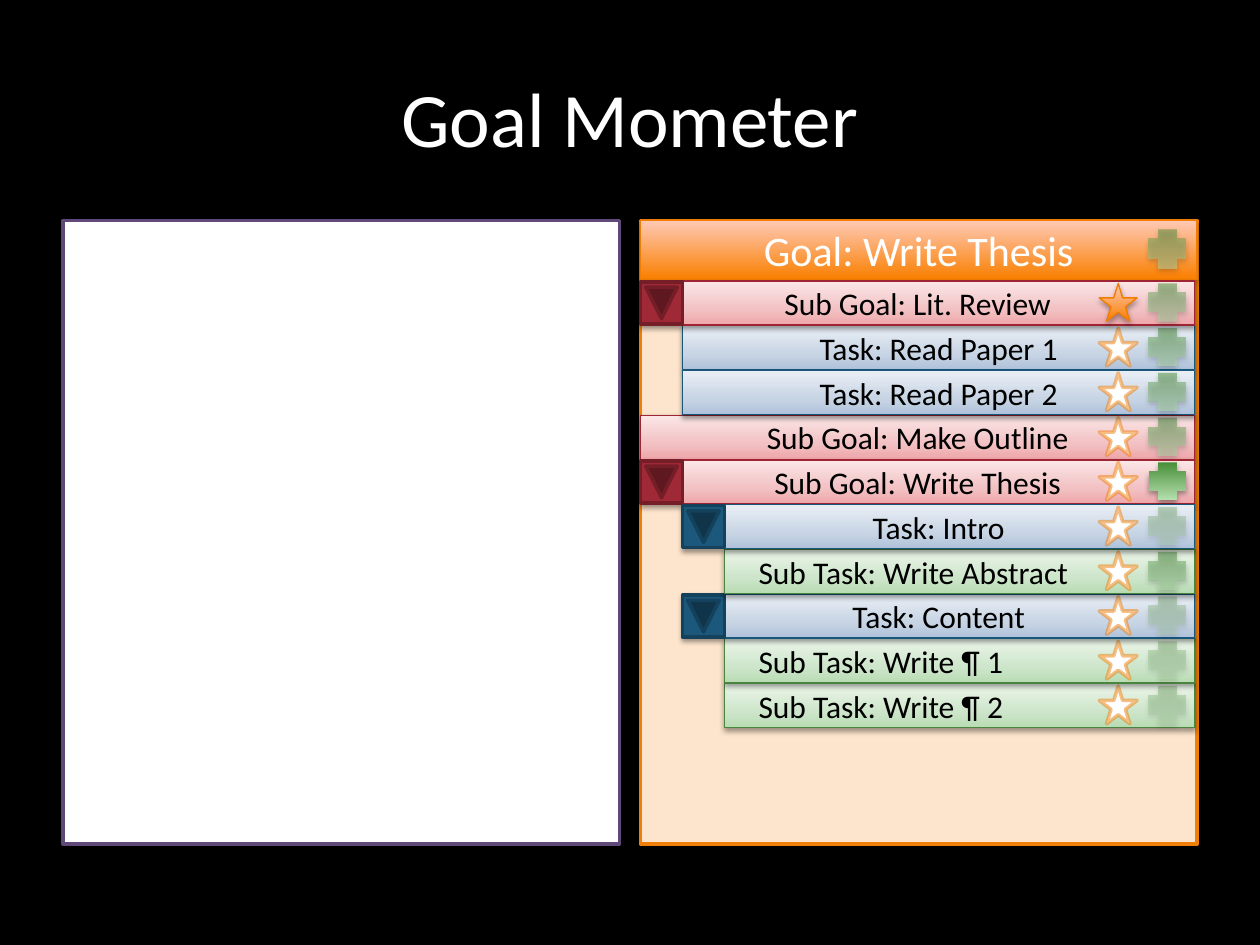
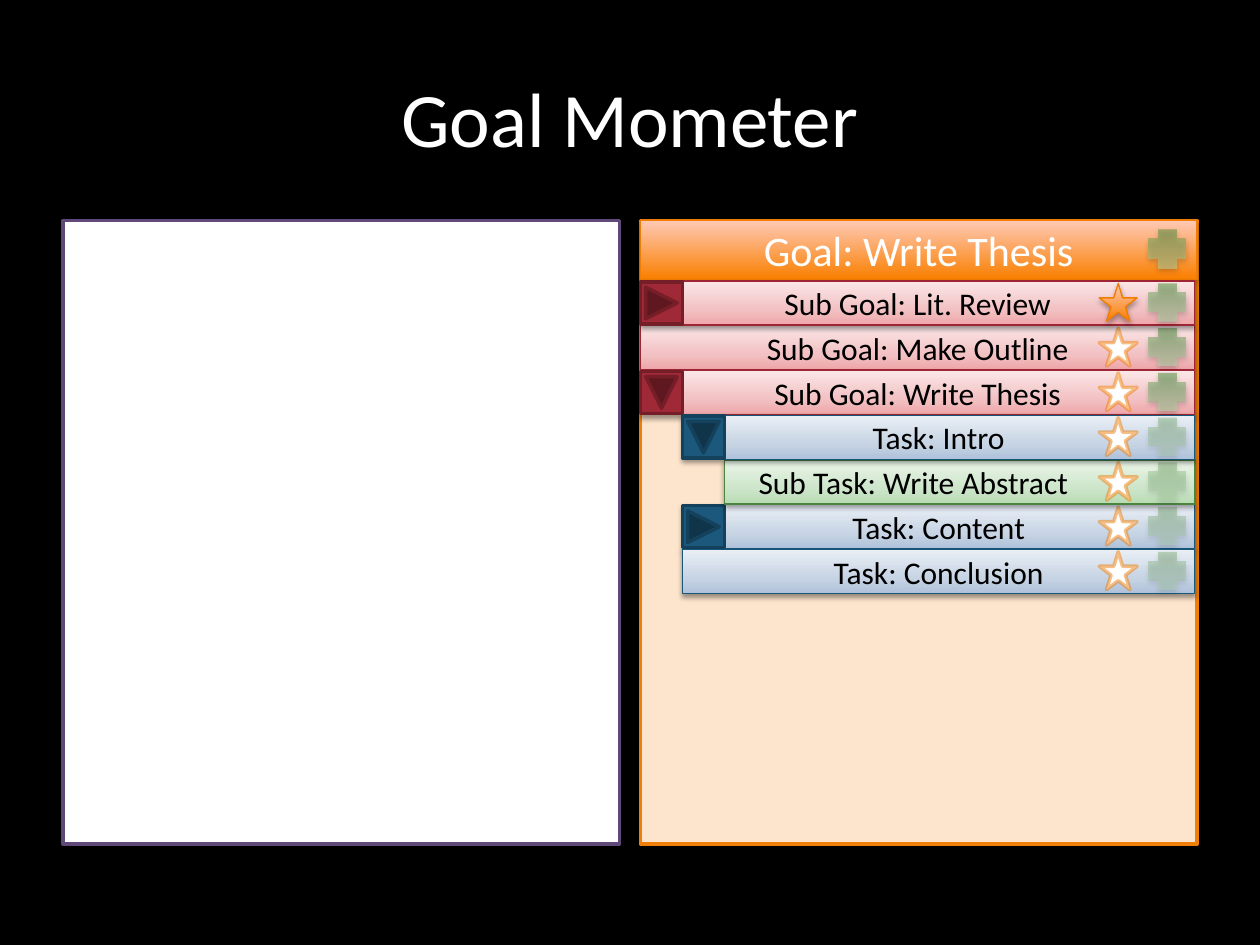
from collections import namedtuple
from dataclasses import dataclass

from lxml import etree
from pptx import Presentation, util as u
from pptx.dml import color
from pptx.enum import shapes, text
from pptx.oxml import ns

Kind = namedtuple("Kind", "level fill edge knob rim")
Row = namedtuple("Row", "slot kind label state glow done", defaults=(None, 50, False))
KIND = shapes.MSO_SHAPE
GRID = 60


@dataclass(frozen=True)
class Theme:
    """Colours, type sizes and line widths of the deck."""
    font: str = "Calibri"
    title: int = 44
    head: int = 24
    body: int = 18
    bold: float = 2
    thin: float = 0.75
    back: str = "000000"
    ink: str = "000000"
    pale: str = "FFFFFF"
    frame: str = "604878"
    sheet: str = "FDE5CD"
    amber: str = "F07F09"
    rim: str = "F07C03"
    warm: tuple = ((0, "F97F00"), (100, "FFC9B5"))
    leaf: tuple = ((0, "488F38"), (100, "B5DFAF"))


T = Theme()
KINDS = {
    "sub": Kind(0, ((0, "EEA6A9"), (35, "F2C1C3"), (100, "FBE7E7")), "9E2533", "9F2936", "761E28"),
    "task": Kind(1, ((0, "AFC2DA"), (35, "C7D4E4"), (100, "EAEFF5")), "18577C", "1B587C", "14415C"),
    "step": Kind(2, ((0, "B8DCB3"), (35, "CDE5CA"), (100, "ECF6EA")), "4B843F", None, None),
}


@dataclass(frozen=True)
class Box:
    """A region measured in grid units."""
    x: float
    y: float
    w: float
    h: float

    def cell(self, x, y, w, h):
        """Return a box placed relative to this one."""
        return Box(self.x + x, self.y + y, w, h)

    def place(self, unit):
        """Return left, top, width and height as lengths."""
        return [u.Emu(round(v * unit)) for v in (self.x, self.y, self.w, self.h)]


UNIT = u.Inches(10) / GRID
LEFT = Box(3, 10.5, 26.5, 29.7)
RIGHT = LEFT.cell(27.5, 0, LEFT.w, LEFT.h)
TITLE = Box(3, 1.8, 54, 7.5)


def add(host, tag, **attrs):
    """Append a drawing element with its attributes."""
    node = etree.SubElement(host, ns.qn("a:" + tag))
    for name, value in attrs.items():
        node.set(name, str(value))
    return node


def tint(host, rgb, alpha=100):
    """Append a colour with its opacity in percent."""
    node = add(host, "srgbClr", val=rgb)
    if alpha < 100:
        add(node, "alpha", val=alpha * 1000)


def blend(shape, stops, alpha=100):
    """Fill a shape with a gradient that rises from the bottom."""
    shape.fill.gradient()
    shape.fill.gradient_angle = 90
    bag = shape._element.spPr.find(".//" + ns.qn("a:gsLst"))
    for old in list(bag):
        bag.remove(old)
    for pos, rgb in stops:
        tint(add(bag, "gs", pos=pos * 1000), rgb, alpha)


def shade(shape, alpha=35, drop=1.8):
    """Give a shape a soft shadow below it."""
    bag = shape._element.spPr.find(ns.qn("a:effectLst"))
    node = add(bag, "outerShdw", blurRad=u.Pt(3.1), dist=u.Pt(drop),
               dir=5400000, rotWithShape=0)
    tint(node, T.back, alpha)


def draw(host, form, box, fill, edge=None, width=T.bold, alpha=100):
    """Add a preset shape with a plain or gradient fill."""
    shape = host.shapes.add_shape(form, *box.place(UNIT))
    shape.shadow.inherit = False
    if isinstance(fill, str):
        shape.fill.solid()
        shape.fill.fore_color.rgb = color.RGBColor.from_string(fill)
    else:
        blend(shape, fill, alpha)
    if edge:
        shape.line.color.rgb = color.RGBColor.from_string(edge)
        shape.line.width = u.Pt(width)
    else:
        shape.line.fill.background()
    return shape


def write(shape, words, size, ink, align=text.PP_ALIGN.CENTER):
    """Set one line of text in the middle of a shape."""
    frame = shape.text_frame
    frame.word_wrap = True
    frame.vertical_anchor = text.MSO_ANCHOR.MIDDLE
    frame.text = words
    para = frame.paragraphs[0]
    para.alignment = align
    font = para.runs[0].font
    font.name, font.size = T.font, u.Pt(size)
    font.color.rgb = color.RGBColor.from_string(ink)


def plus(host, box, glow):
    """Draw the add button at the given opacity."""
    shape = draw(host, KIND.CROSS, box, T.leaf, alpha=glow)
    shape._element.spPr.find(ns.qn("a:xfrm")).set("flipV", "1")
    shade(shape)


def star(host, box, done):
    """Draw the star, filled when the goal is done."""
    if done:
        shade(draw(host, KIND.STAR_5_POINT, box, T.warm, T.rim, T.thin))
        return
    shape = draw(host, KIND.STAR_5_POINT, box, T.pale, T.amber)
    edge = shape._element.spPr.find(ns.qn("a:ln")).find(".//" + ns.qn("a:srgbClr"))
    add(edge, "alpha", val=50000)


def knob(host, box, kind, state):
    """Draw the folding button, turned down when open."""
    shape = draw(host, KIND.ACTION_BUTTON_FORWARD_OR_NEXT, box, kind.knob, kind.rim)
    shape.rotation = 90 if state == "open" else 0


def bar(slide, box, row):
    """Draw one goal row in its slot of the panel."""
    kind = KINDS[row.kind]
    line = box.cell(0, 2.88 + 2.13 * row.slot, 26.4, 2.1)
    dent = 2 * kind.level
    group = slide.shapes.add_group_shape()
    shape = draw(group, KIND.RECTANGLE, line.cell(dent, 0, line.w - dent, line.h),
                 kind.fill, kind.edge, T.thin)
    shade(shape, 38, 1.6)
    if row.kind == "step":
        write(shape, row.label, T.body, T.ink, text.PP_ALIGN.LEFT)
        shape.text_frame.margin_left = u.Inches(0.27)
    else:
        write(shape, row.label, T.body, T.ink)
    plus(group, line.cell(24.2, 0.12, 1.8, 1.8), row.glow)
    star(group, line.cell(21.85, 0.12, 1.8, 1.8), row.done)
    if row.state:
        knob(group, line.cell(dent, 0.05, 2, 2), kind, row.state)


def panel(slide, box, rows):
    """Draw the goal panel with its header and rows."""
    draw(slide, KIND.RECTANGLE, box, T.sheet, T.amber)
    head = draw(slide, KIND.RECTANGLE, box.cell(0, 0, box.w, 2.8), T.warm, T.rim, T.thin)
    shade(head)
    write(head, "Goal: Write Thesis", T.head, T.pale)
    plus(slide, box.cell(24.2, 0.42, 1.8, 1.86), 50)
    for row in rows:
        bar(slide, box, row)


def page(deck, rows):
    """Add a slide with the title, the empty frame and the goals."""
    slide = deck.slides.add_slide(deck.slide_layouts[6])
    slide.background.fill.solid()
    slide.background.fill.fore_color.rgb = color.RGBColor.from_string(T.back)
    draw(slide, KIND.RECTANGLE, LEFT, T.pale, T.frame)
    write(slide.shapes.add_textbox(*TITLE.place(UNIT)), "Goal Mometer", T.title, T.pale)
    panel(slide, RIGHT, rows)


REVIEW = "Sub Goal: Lit. Review"
OUTLINE = "Sub Goal: Make Outline"
THESIS = "Sub Goal: Write Thesis"
INTRO = "Task: Intro"
DRAFT = "Sub Task: Write Abstract"
BODY = "Task: Content"

PAGES = [
    [
        Row(9, "step", "Sub Task: Write ¶ 2", glow=30),
        Row(8, "step", "Sub Task: Write ¶ 1", glow=30),
        Row(7, "task", BODY, "open", 30),
        Row(6, "step", DRAFT),
        Row(3, "sub", OUTLINE),
        Row(1, "task", "Task: Read Paper 1"),
        Row(0, "sub", REVIEW, "open", done=True),
        Row(2, "task", "Task: Read Paper 2"),
        Row(4, "sub", THESIS, "open", 100),
        Row(5, "task", INTRO, "open", 30),
    ],
    [
        Row(5, "task", BODY, "shut", 30),
        Row(1, "sub", OUTLINE),
        Row(0, "sub", REVIEW, "shut", done=True),
        Row(2, "sub", THESIS, "open"),
        Row(6, "task", "Task: Conclusion", glow=30),
        Row(4, "step", DRAFT, glow=30),
        Row(3, "task", INTRO, "open", 30),
    ],
]


def main():
    """Build the deck and save it."""
    deck = Presentation()
    deck.slide_width, deck.slide_height = u.Inches(10), u.Inches(7.5)
    for rows in PAGES:
        page(deck, rows)
    deck.save("out.pptx")


if __name__ == "__main__":
    main()
